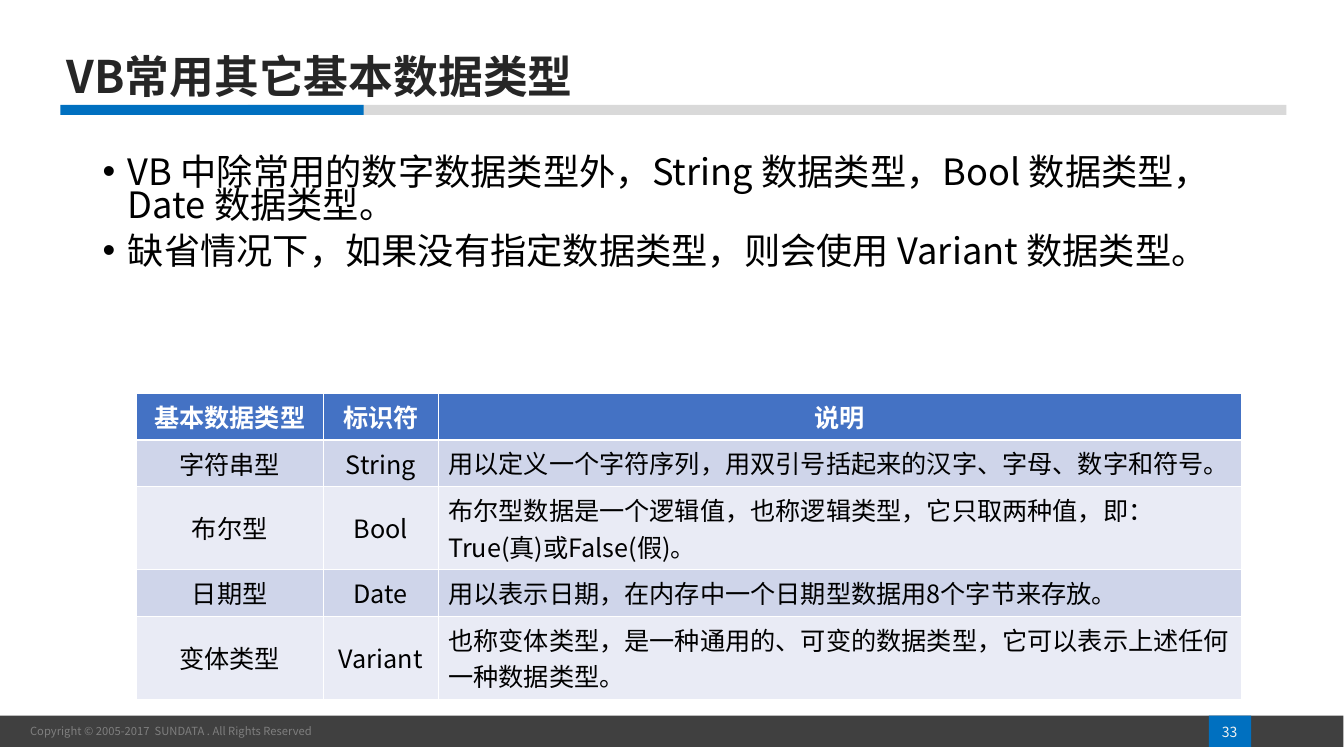
import pptx
import pptx.util
import pptx.dml.color
import pptx.enum.shapes
import pptx.enum.text
import pptx.oxml.ns
from lxml import etree

Pt = pptx.util.Pt
ALIGN = pptx.enum.text.PP_ALIGN
MIDDLE = pptx.enum.text.MSO_ANCHOR.MIDDLE
TOP = pptx.enum.text.MSO_ANCHOR.TOP
qn = pptx.oxml.ns.qn

FONT = "Noto Sans CJK SC"
COLORS = {
    "bar": "404040", "accent": "0070C0", "rule": "D9D9D9", "title": "262626",
    "text": "000000", "white": "FFFFFF", "copyright": "7F7F7F",
    "number": "F2F2F2", "header": "4472C4", "odd": "CFD5EA", "even": "E9EBF5",
}

BULLETS = [
    "VB 中除常用的数字数据类型外，String 数据类型，Bool 数据类型，Date 数据类型。",
    "缺省情况下，如果没有指定数据类型，则会使用 Variant 数据类型。",
]
TYPES = [
    ("基本数据类型", "标识符", "说明"),
    ("字符串型", "String", "用以定义一个字符序列，用双引号括起来的汉字、字母、数字和符号。"),
    ("布尔型", "Bool", "布尔型数据是一个逻辑值，也称逻辑类型，它只取两种值，即：True(真)或False(假)。"),
    ("日期型", "Date", "用以表示日期，在内存中一个日期型数据用8个字节来存放。"),
    ("变体类型", "Variant", "也称变体类型，是一种通用的、可变的数据类型，它可以表示上述任何一种数据类型。"),
]
COL_WIDTHS = [133.9, 82.1, 573.8]
ROW_HEIGHTS = [28.8, 31, 55.4, 28.8, 50.4]


def rgb(name):
    return pptx.dml.color.RGBColor.from_string(COLORS[name])


def write(p, text, size=18, color="text", bold=False, align=ALIGN.LEFT, line=None, before=0):
    p.alignment = align
    p.space_before = Pt(before)
    if line:
        p.line_spacing = line
    r = p.add_run()
    r.text = text
    r.font.size = Pt(size)
    r.font.bold = bold
    r.font.color.rgb = rgb(color)
    r.font.name = FONT
    etree.SubElement(r.font._element, qn("a:ea"), typeface=FONT)


def set_bullet(p, indent):
    pPr = p._p.get_or_add_pPr()
    pPr.set("marL", str(Pt(indent)))
    pPr.set("indent", str(-Pt(indent)))
    etree.SubElement(pPr, qn("a:buFont"), typeface="Arial")
    etree.SubElement(pPr, qn("a:buChar"), char="•")


def add_bar(s, left, top, width, height, color):
    sp = s.shapes.add_shape(pptx.enum.shapes.MSO_SHAPE.RECTANGLE,
                            Pt(left), Pt(top), Pt(width), Pt(height))
    sp.shadow.inherit = False
    sp.fill.solid()
    sp.fill.fore_color.rgb = rgb(color)
    sp.line.fill.background()
    return sp


def place(sp, left, top, width, height, anchor):
    sp.left, sp.top, sp.width, sp.height = Pt(left), Pt(top), Pt(width), Pt(height)
    tf = sp.text_frame
    tf.word_wrap = True
    tf.auto_size = pptx.enum.text.MSO_AUTO_SIZE.NONE
    tf.vertical_anchor = anchor
    return tf


def set_borders(cell, **widths):
    tcPr = cell._tc.get_or_add_tcPr()
    for i, side in enumerate(("lnL", "lnR", "lnT", "lnB")):
        ln = etree.Element(qn("a:" + side), w=str(Pt(widths.get(side, 0.45))))
        fill = etree.SubElement(ln, qn("a:solidFill"))
        etree.SubElement(fill, qn("a:srgbClr"), val=COLORS["white"])
        tcPr.insert(i, ln)


def add_type_table(s, left, top):
    frame = s.shapes.add_table(len(TYPES), len(COL_WIDTHS), Pt(left), Pt(top),
                               Pt(sum(COL_WIDTHS)), Pt(sum(ROW_HEIGHTS)))
    table = frame.table
    table.horz_banding = False
    for column, width in zip(table.columns, COL_WIDTHS):
        column.width = Pt(width)
    for i, (row, height) in enumerate(zip(table.rows, ROW_HEIGHTS)):
        row.height = Pt(height)
        header = i == 0
        for j, cell in enumerate(row.cells):
            cell.fill.solid()
            cell.fill.fore_color.rgb = rgb("header" if header else "odd" if i % 2 else "even")
            set_borders(cell, lnT=1.47 if i == 1 else 0.45, lnB=1.47 if header else 0.45)
            cell.vertical_anchor = TOP if header or j == 2 else MIDDLE
            write(cell.text_frame.paragraphs[0], TYPES[i][j], bold=header,
                  color="white" if header else "text",
                  align=ALIGN.CENTER if header or j < 2 else ALIGN.LEFT)


def main():
    prs = pptx.Presentation()
    prs.slide_width, prs.slide_height = Pt(960.5), Pt(540)
    s = prs.slides.add_slide(prs.slide_layouts[1])

    # Footer band with copyright and page number
    band = add_bar(s, 0, 511.2, 960, 22.3, "bar")
    band.text_frame.margin_left = Pt(21.5)
    band.text_frame.vertical_anchor = MIDDLE
    write(band.text_frame.paragraphs[0], "Copyright © 2005-2017  SUNDATA . All Rights Reserved",
          size=8, color="copyright")
    add_bar(s, 864, 511.2, 30.2, 22.3, "accent")
    number = s.shapes.add_textbox(0, 0, 0, 0)
    tf = place(number, 848.9, 515.5, 59.8, 15.1, MIDDLE)
    write(tf.paragraphs[0], "33", size=10, color="number", align=ALIGN.CENTER)

    # Title and two-tone rule
    add_bar(s, 177.1, 74.9, 742.3, 7.2, "rule")
    add_bar(s, 43.2, 74.9, 216.7, 7.2, "accent")
    tf = place(s.shapes.title, 40.3, 18.7, 828, 75.6, MIDDLE)
    write(tf.paragraphs[0], "VB常用其它基本数据类型", size=32, color="title", bold=True, line=0.9)

    # Bullets
    tf = place(s.placeholders[1], 66.2, 110.2, 828, 147.6, TOP)
    for i, text in enumerate(BULLETS):
        p = tf.add_paragraph() if i else tf.paragraphs[0]
        set_bullet(p, 18)
        write(p, text, size=25.9, line=0.76, before=9 if i else 0)

    # Data type table
    add_type_table(s, 97.2, 280.8)

    prs.save("out.pptx")


if __name__ == "__main__":
    main()
